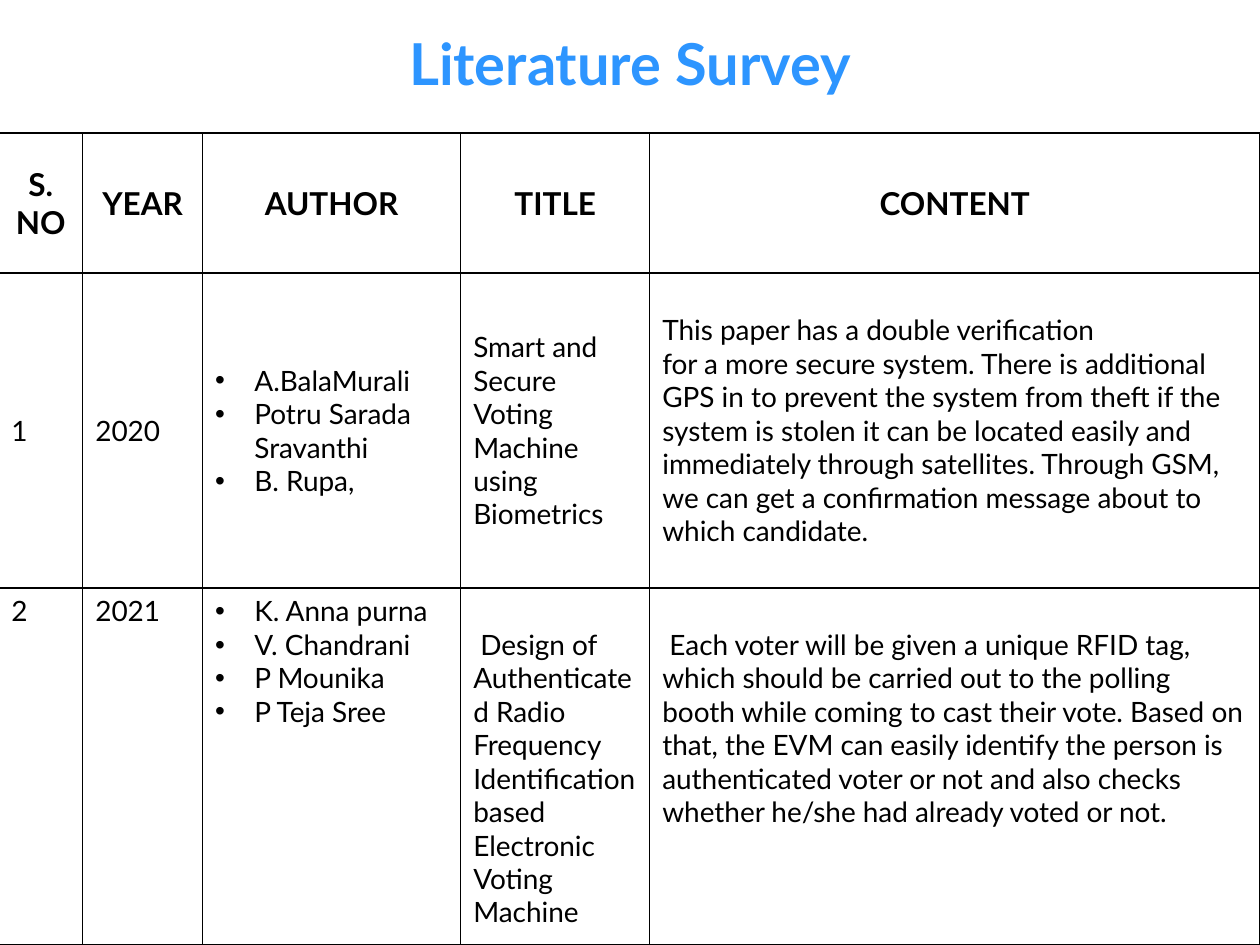
from lxml.etree import SubElement
from pptx import Presentation
from pptx.dml.color import RGBColor
from pptx.enum.text import MSO_ANCHOR, PP_ALIGN
from pptx.oxml.ns import qn
from pptx.util import Pt

BLACK = RGBColor(0, 0, 0)
BLUE = RGBColor(0x2D, 0x95, 0xFF)
FONT = "Lato"
LINE = 19.2  # height of one line of body text
COLS = [48, 68.4, 147.6, 108, 348.6]
ROWS = [80, 180, 204]
HEAD = [["S.", "NO"], ["YEAR"], ["AUTHOR"], ["TITLE"], ["CONTENT"]]
SMART = [
    ["1"], ["2020"],
    ["A.BalaMurali", "Potru Sarada Sravanthi", "B. Rupa,"],
    ["Smart and Secure Voting Machine", "using Biometrics"],
    ["This paper has a double verification",
     "for a more secure system. There is additional GPS in to prevent the "
     "system from theft if the system is stolen it can be located easily and "
     "immediately through satellites. Through GSM, we can get a confirmation "
     "message about to which candidate."],
]
RADIO = [
    ["2"], ["2021"],
    ["K. Anna purna", "V. Chandrani ", "P Mounika ", "P Teja Sree "],
    [" Design of Authenticated Radio Frequency Identification based "
     "Electronic Voting Machine "],
    [" Each voter will be given a unique RFID tag, which should be carried "
     "out to the polling booth while coming to cast their vote. Based on "
     "that, the EVM can easily identify the person is authenticated voter or "
     "not and also checks whether he/she had already voted or not. "],
]


def style(para, size, color, bold=False):
    """Set the font of a whole paragraph."""
    font = para.font
    font.name, font.size, font.bold = FONT, Pt(size), bold
    font.color.rgb = color


def bullet(para):
    """Give a paragraph a round bullet with a hanging indent."""
    props = para._p.get_or_add_pPr()
    props.set("marL", str(Pt(22.5)))
    props.set("indent", str(-Pt(22.5)))
    SubElement(props, qn("a:buFont")).set("typeface", "Arial")
    SubElement(props, qn("a:buChar")).set("char", "•")


def border(cell):
    """Draw thin black lines on all sides of a cell."""
    props = cell._tc.get_or_add_tcPr()
    for at, side in enumerate(("lnL", "lnR", "lnT", "lnB")):
        line = props.makeelement(qn("a:" + side), {"w": str(Pt(1))})
        fill = SubElement(line, qn("a:solidFill"))
        SubElement(fill, qn("a:srgbClr")).set("val", str(BLACK))
        props.insert(at, line)


def fill_cell(cell, lines, row, col):
    """Write one cell, styled by its row and column."""
    head = row == 0
    cell.fill.background()
    border(cell)
    cell.vertical_anchor = MSO_ANCHOR.TOP if row == 2 else MSO_ANCHOR.MIDDLE
    if row == 2 and col > 2:
        cell.margin_top = Pt(3.6 + LINE)
    cell.text = "\n".join(lines)
    for para in cell.text_frame.paragraphs:
        para.alignment = PP_ALIGN.CENTER if head else PP_ALIGN.LEFT
        style(para, 18 if head else 16, BLACK, head)
        if col == 2 and not head:
            bullet(para)


def add_grid(slide, left, top):
    """Place the survey table with its corner at left, top."""
    data = [HEAD, SMART, RADIO]
    frame = slide.shapes.add_table(len(ROWS), len(COLS), Pt(left), Pt(top),
                                   Pt(sum(COLS)), Pt(sum(ROWS)))
    grid = frame.table
    grid.horz_banding = False
    for col, width in zip(grid.columns, COLS):
        col.width = Pt(width)
    for row, height in zip(grid.rows, ROWS):
        row.height = Pt(height)
    for r, cells in enumerate(data):
        for c, lines in enumerate(cells):
            fill_cell(grid.cell(r, c), lines, r, c)


def add_title(slide, left, top, width, height):
    """Place the slide title in the given box."""
    title = slide.shapes.title
    title.left, title.top = Pt(left), Pt(top)
    title.width, title.height = Pt(width), Pt(height)
    frame = title.text_frame
    frame.text = "Literature Survey"
    frame.vertical_anchor = MSO_ANCHOR.MIDDLE
    para = frame.paragraphs[0]
    para.alignment, para.line_spacing = PP_ALIGN.CENTER, 0.9
    style(para, 33, BLUE, True)


def main():
    """Build and save the slide."""
    deck = Presentation()
    deck.slide_width, deck.slide_height = Pt(720), Pt(540)
    slide = deck.slides.add_slide(deck.slide_layouts[5])
    add_title(slide, 0, 0, 720, 76)
    add_grid(slide, -0.72, 76)
    deck.save("out.pptx")


main()
